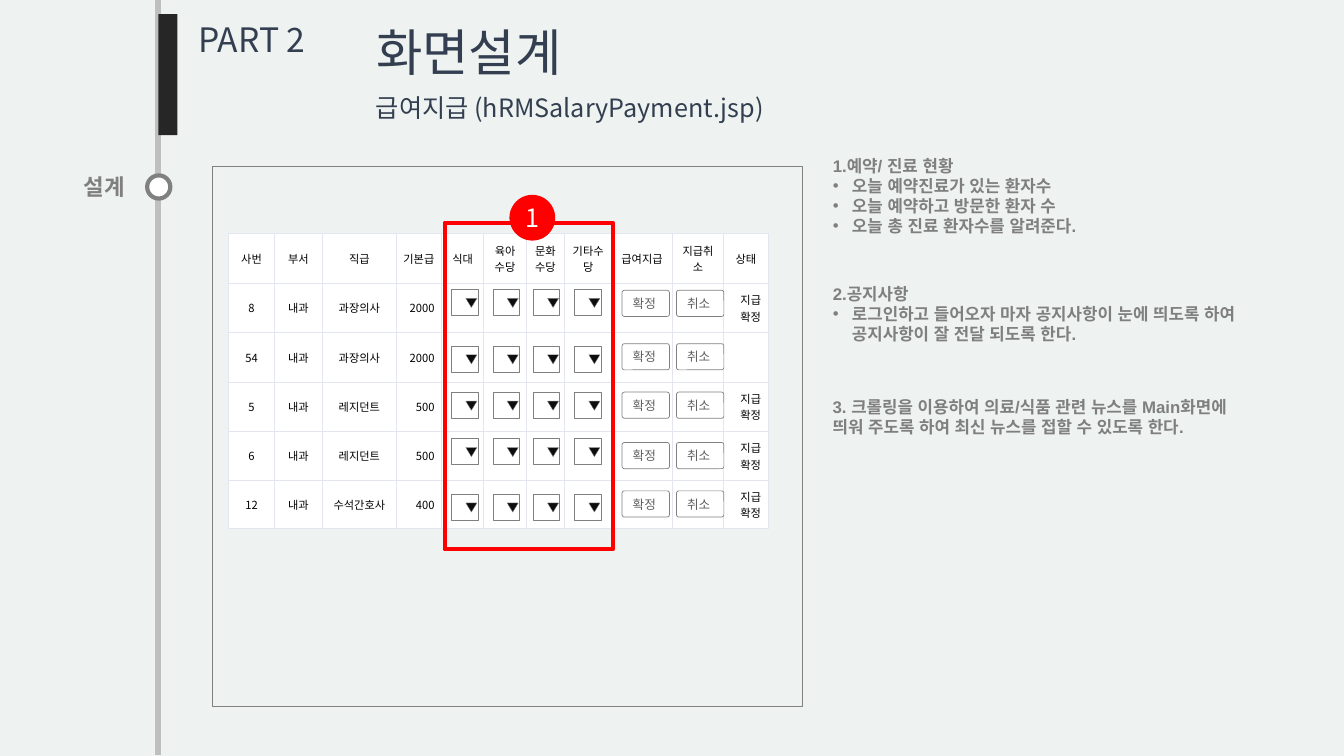
from lxml.etree import SubElement
from pptx import Presentation
from pptx.dml.color import RGBColor
from pptx.enum.shapes import MSO_CONNECTOR, MSO_SHAPE
from pptx.enum.text import MSO_ANCHOR, MSO_AUTO_SIZE, PP_ALIGN
from pptx.oxml.ns import qn
from pptx.util import Inches, Pt

COLORS = {
    "background": "EEF2F0", "rail": "BFBFBF", "marker": "262626", "navy": "333F50",
    "gray": "7F7F7F", "outline": "808080", "grid": "E3E6F0", "red": "FF0000",
    "white": "FFFFFF", "black": "000000", "arrow": "0D0D0D", "button": "5F5F5F",
}
KOREAN_FONT = "Noto Sans CJK KR"

HEADERS = ["사번", "부서", "직급", "기본급", "식대", "육아수당", "문화수당", "기타수당",
           "급여지급", "지급취소", "상태"]
EMPLOYEES = [
    ("8", "내과", "과장의사", "2000", "지급확정"),
    ("54", "내과", "과장의사", "2000", ""),
    ("5", "내과", "레지던트", "500", "지급확정"),
    ("6", "내과", "레지던트", "500", "지급확정"),
    ("12", "내과", "수석간호사", "400", "지급확정"),
]
COLUMN_WIDTHS = [0.45, 0.48, 0.73, 0.45, 0.42, 0.42, 0.38, 0.47, 0.6, 0.51, 0.44]
ROW_HEIGHTS = [0.49] * 5 + [0.47]

DROPDOWN_LEFTS = [4.48, 4.89, 5.29, 5.7]
DROPDOWN_TOPS = [2.87, 3.43, 3.89, 4.35, 4.9]
BUTTON_LEFTS = {"확정": 6.17, "취소": 6.71}
BUTTON_TOPS = [2.88, 3.41, 3.89, 4.39, 4.87]


def rgb(name):
    return RGBColor.from_string(COLORS[name])


def place(shape, left, top, width, height):
    shape.left, shape.top = Inches(left), Inches(top)
    shape.width, shape.height = Inches(width), Inches(height)


def write(paragraph, text, size=12, font=KOREAN_FONT, color="navy", bold=False,
          align=PP_ALIGN.LEFT):
    paragraph.alignment = align
    paragraph.space_before = Pt(0)
    run = paragraph.add_run()
    run.text = text
    run.font.size, run.font.bold, run.font.name = Pt(size), bold, font
    run.font.color.rgb = rgb(color)
    SubElement(run.font._element, qn("a:ea"), typeface=font)


def set_bullet(paragraph, bulleted):
    properties = paragraph._p.get_or_add_pPr()
    indent = Inches(0.19) if bulleted else 0
    properties.set("marL", str(indent))
    properties.set("indent", str(-indent))
    if bulleted:
        SubElement(properties, qn("a:buFont"), typeface="Arial")
        SubElement(properties, qn("a:buChar"), char="•")
    else:
        SubElement(properties, qn("a:buNone"))


def prepare_frame(shape, wrap=True, anchor=MSO_ANCHOR.TOP):
    frame = shape.text_frame
    frame.auto_size = MSO_AUTO_SIZE.NONE
    frame.word_wrap, frame.vertical_anchor = wrap, anchor
    return frame


def add_label(slide, box, text, wrap=False, **text_format):
    label = slide.shapes.add_textbox(*map(Inches, box))
    write(prepare_frame(label, wrap).paragraphs[0], text, **text_format)


def fill_note(placeholder, box, heading, items):
    place(placeholder, *box)
    frame = prepare_frame(placeholder)
    for index, text in enumerate([heading, *items]):
        paragraph = frame.add_paragraph() if index else frame.paragraphs[0]
        write(paragraph, text, font="Arial", color="gray", bold=True)
        set_bullet(paragraph, bulleted=index > 0)


def add_block(slide, kind, box, fill=None, line=None, weight=0.5):
    block = slide.shapes.add_shape(kind, *map(Inches, box))
    block.shadow.inherit = False
    if fill:
        block.fill.solid()
        block.fill.fore_color.rgb = rgb(fill)
    else:
        block.fill.background()
    if line:
        block.line.color.rgb = rgb(line)
        block.line.width = Pt(weight)
    else:
        block.line.fill.background()
    return block


def add_rail(slide):
    rail = slide.shapes.add_connector(
        MSO_CONNECTOR.STRAIGHT, Inches(1.57), 0, Inches(1.57), Inches(7.49))
    rail.line.color.rgb = rgb("rail")
    rail.line.width = Pt(4.5)
    SubElement(rail._element.spPr, qn("a:effectLst"))


def format_cell(cell, text, align):
    cell.margin_left = cell.margin_right = Inches(0.07)
    cell.margin_top = cell.margin_bottom = Inches(0.03)
    cell.vertical_anchor = MSO_ANCHOR.MIDDLE
    properties = cell._tc.get_or_add_tcPr()
    for side in ("lnL", "lnR", "lnT", "lnB"):
        border = SubElement(properties, qn(f"a:{side}"), w=str(Pt(0.75)))
        border_fill = SubElement(border, qn("a:solidFill"))
        SubElement(border_fill, qn("a:srgbClr"), val=COLORS["grid"])
    cell.fill.solid()
    cell.fill.fore_color.rgb = rgb("white")
    if text:
        write(cell.text_frame.paragraphs[0], text, size=8, color="black", align=align)


def add_salary_table(slide):
    rows = [HEADERS] + [[*employee[:4], *[""] * 6, employee[4]] for employee in EMPLOYEES]
    table = slide.shapes.add_table(
        len(rows), len(HEADERS), Inches(2.27), Inches(2.32),
        Inches(sum(COLUMN_WIDTHS)), Inches(sum(ROW_HEIGHTS))).table
    for column, width in zip(table.columns, COLUMN_WIDTHS):
        column.width = Inches(width)
    for row_index, values in enumerate(rows):
        table.rows[row_index].height = Inches(ROW_HEIGHTS[row_index])
        for column_index, text in enumerate(values):
            to_right = row_index > 0 and column_index in (3, 10)
            align = PP_ALIGN.RIGHT if to_right else PP_ALIGN.CENTER
            format_cell(table.cell(row_index, column_index), text, align)


def add_dropdown(slide, left, top):
    add_block(slide, MSO_SHAPE.RECTANGLE, (left, top, 0.26, 0.26), "white", "outline", 0.25)
    arrow = add_block(slide, MSO_SHAPE.ISOSCELES_TRIANGLE,
                      (left + 0.14, top + 0.09, 0.11, 0.09), "arrow", "outline", 0.25)
    arrow.rotation = 180


def add_button(slide, left, top, text):
    button = add_block(slide, MSO_SHAPE.ROUNDED_RECTANGLE, (left, top, 0.47, 0.26),
                       "white", "outline")
    button.adjustments[0] = 0.09
    frame = prepare_frame(button, wrap=False, anchor=MSO_ANCHOR.MIDDLE)
    write(frame.paragraphs[0], text, size=9, font="Karla", color="button")


def add_callout(slide):
    add_block(slide, MSO_SHAPE.RECTANGLE, (4.41, 2.21, 1.67, 3.24), line="red", weight=2.75)
    badge = add_block(slide, MSO_SHAPE.OVAL, (5.06, 1.94, 0.44, 0.44), "red", "red", 1)
    frame = prepare_frame(badge, wrap=False, anchor=MSO_ANCHOR.MIDDLE)
    write(frame.paragraphs[0], "1", size=18, color="white", align=PP_ALIGN.CENTER)


def main():
    presentation = Presentation()
    presentation.slide_width, presentation.slide_height = Inches(13.33), Inches(7.5)
    slide = presentation.slides.add_slide(presentation.slide_layouts[3])
    slide.background.fill.solid()
    slide.background.fill.fore_color.rgb = rgb("background")

    add_rail(slide)
    add_label(slide, (0.71, 1.67, 0.65, 0.37), "설계", size=16, color="gray", bold=True,
              align=PP_ALIGN.CENTER)
    add_block(slide, MSO_SHAPE.RECTANGLE, (1.57, 0.14, 0.19, 1.2), "marker")
    add_block(slide, MSO_SHAPE.OVAL, (1.46, 1.74, 0.23, 0.23), "white", "outline", 3)

    add_label(slide, (1.87, 0.14, 1.27, 0.5), "PART 2", size=24)
    title = slide.shapes.title
    place(title, 3.63, 0.16, 2.22, 0.71)
    write(prepare_frame(title, wrap=False).paragraphs[0], "화면설계", size=36)
    add_label(slide, (3.63, 0.87, 4.31, 0.4), "급여지급 (hRMSalaryPayment.jsp)",
              wrap=True, size=18)

    fill_note(slide.placeholders[1], (8.16, 1.49, 4.4, 0.91), "1.예약/ 진료 현황",
              ["오늘 예약진료가 있는 환자수", "오늘 예약하고 방문한 환자 수",
               "오늘 총 진료 환자수를 알려준다."])
    fill_note(slide.placeholders[2], (8.16, 2.76, 4.4, 0.71), "2.공지사항",
              ["로그인하고 들어오자 마자 공지사항이 눈에 띄도록 하여 공지사항이 잘 전달 되도록 한다."])
    add_label(slide, (8.16, 3.89, 4.4, 0.5),
              "3. 크롤링을 이용하여 의료/식품 관련 뉴스를 Main화면에 띄워 주도록 하여 "
              "최신 뉴스를 접할 수 있도록 한다.",
              wrap=True, font="Arial", color="gray", bold=True)

    add_block(slide, MSO_SHAPE.RECTANGLE, (2.11, 1.65, 5.85, 5.36), line="outline")
    add_salary_table(slide)
    add_callout(slide)
    for left in DROPDOWN_LEFTS:
        for top in DROPDOWN_TOPS:
            add_dropdown(slide, left, top)
    for text, left in BUTTON_LEFTS.items():
        for top in BUTTON_TOPS:
            add_button(slide, left, top, text)

    presentation.save("out.pptx")


if __name__ == "__main__":
    main()
